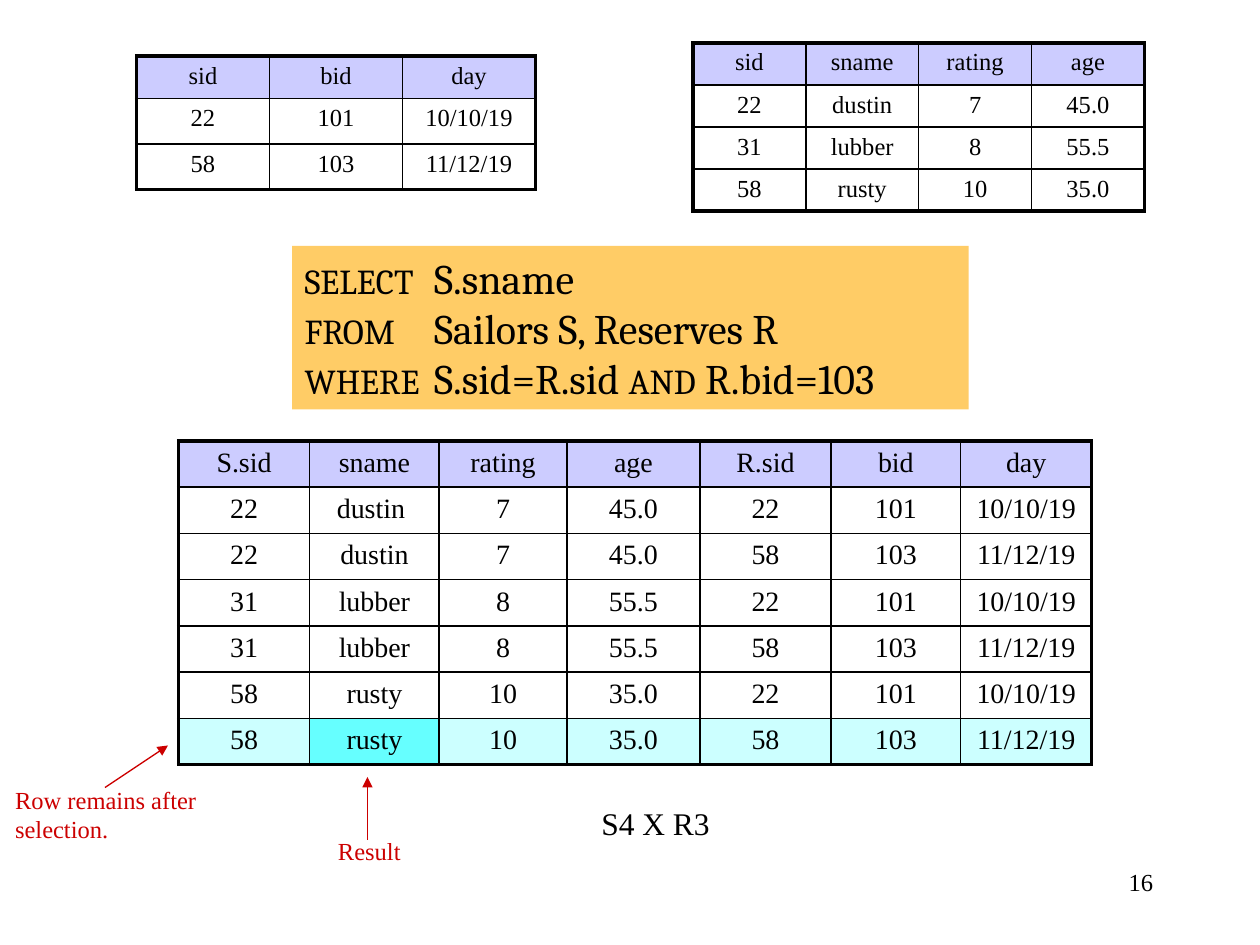
from dataclasses import dataclass

from lxml.etree import SubElement
from pptx import Presentation
from pptx.dml.color import RGBColor
from pptx.enum.shapes import MSO_CONNECTOR, MSO_SHAPE
from pptx.enum.text import MSO_ANCHOR, PP_ALIGN
from pptx.oxml.ns import qn
from pptx.util import Pt


@dataclass(frozen=True)
class Theme:
    black: str = "000000"
    red: str = "CC0000"
    header: str = "CCCCFF"
    query: str = "FFCC66"
    kept_row: str = "CCFFFF"
    result: str = "66FFFF"
    body_font: str = "Times New Roman"
    query_font: str = "Cambria"
    small: float = 14
    medium: float = 16
    caption: float = 18
    keyword: float = 20
    clause: float = 24
    outer_border: float = 2.25
    inner_border: float = 1
    arrow: float = 0.75


THEME = Theme()

RESERVES = [
    ("sid", "bid", "day"),
    ("22", "101", "10/10/19"),
    ("58", "103", "11/12/19"),
]
SAILORS = [
    ("sid", "sname", "rating", "age"),
    ("22", "dustin", "7", "45.0"),
    ("31", "lubber", "8", "55.5"),
    ("58", "rusty", "10", "35.0"),
]
PRODUCT = [
    ("S.sid", "sname", "rating", "age", "R.sid", "bid", "day"),
    ("22", "dustin ", "7", "45.0", "22", "101", "10/10/19"),
    ("22", "dustin", "7", "45.0", "58", "103", "11/12/19"),
    ("31", "lubber", "8", "55.5", "22", "101", "10/10/19"),
    ("31", "lubber", "8", "55.5", "58", "103", "11/12/19"),
    ("58", "rusty", "10", "35.0", "22", "101", "10/10/19"),
    ("58", "rusty", "10", "35.0", "58", "103", "11/12/19"),
]
# Each clause is a list of (text, is_keyword) pieces.
QUERY = [
    [("SELECT", True), ("\tS.sname", False)],
    [("FROM", True), ("\tSailors S, Reserves R", False)],
    [("WHERE", True), ("\tS.sid=R.sid ", False), ("AND", True), (" R.bid=103", False)],
]


def add_run(paragraph, text, size, color=THEME.black, font=THEME.body_font):
    run = paragraph.add_run()
    run.text = text
    run.font.size = Pt(size)
    run.font.name = font
    run.font.color.rgb = RGBColor.from_string(color)


def add_paragraphs(frame, count):
    """Return the frame's first paragraph and as many new ones as needed."""
    return [frame.paragraphs[0]] + [frame.add_paragraph() for _ in range(count - 1)]


def add_label(slide, box, lines, size, color=THEME.black, align=PP_ALIGN.LEFT):
    frame = slide.shapes.add_textbox(*map(Pt, box)).text_frame
    frame.word_wrap = True
    for paragraph, line in zip(add_paragraphs(frame, len(lines)), lines):
        paragraph.alignment = align
        add_run(paragraph, line, size, color)


def add_arrow(slide, start, end):
    arrow = slide.shapes.add_connector(MSO_CONNECTOR.STRAIGHT, *map(Pt, start + end))
    arrow.line.color.rgb = RGBColor.from_string(THEME.red)
    arrow.line.width = Pt(THEME.arrow)
    SubElement(arrow.line._get_or_add_ln(), qn("a:tailEnd"), type="triangle")
    SubElement(arrow._element.spPr, qn("a:effectLst"))


def set_borders(cell, is_outer):
    """Draw the four cell sides, heavier where is_outer marks a table edge."""
    properties = cell._tc.get_or_add_tcPr()
    for side in "LRTB":
        width = THEME.outer_border if is_outer[side] else THEME.inner_border
        line = SubElement(properties, qn(f"a:ln{side}"), w=str(Pt(width)))
        fill = SubElement(line, qn("a:solidFill"))
        SubElement(fill, qn("a:srgbClr"), val=THEME.black)


def add_grid(slide, left, top, column_widths, row_heights, rows, size, highlights=None):
    """Add a table; highlights maps (row, column) to a fill colour."""
    fills = {(0, column): THEME.header for column in range(len(column_widths))}
    fills.update(highlights or {})
    box = (left, top, sum(column_widths), sum(row_heights))
    table = slide.shapes.add_table(
        len(rows), len(column_widths), *map(Pt, box)
    ).table
    table.first_row = table.horz_banding = False
    for column, width in zip(table.columns, column_widths):
        column.width = Pt(width)
    for row, height in zip(table.rows, row_heights):
        row.height = Pt(height)
    for i, values in enumerate(rows):
        for j, value in enumerate(values):
            cell = table.cell(i, j)
            set_borders(cell, {
                "L": j == 0, "R": j == len(values) - 1,
                "T": i == 0, "B": i == len(rows) - 1,
            })
            if (i, j) in fills:
                cell.fill.solid()
                cell.fill.fore_color.rgb = RGBColor.from_string(fills[i, j])
            else:
                cell.fill.background()
            paragraph = cell.text_frame.paragraphs[0]
            paragraph.alignment = PP_ALIGN.CENTER
            add_run(paragraph, value, size)


def add_query(slide, box, clause_indent):
    shape = slide.shapes.add_shape(MSO_SHAPE.RECTANGLE, *map(Pt, box))
    shape.shadow.inherit = False
    shape.fill.solid()
    shape.fill.fore_color.rgb = RGBColor.from_string(THEME.query)
    shape.line.fill.background()
    frame = shape.text_frame
    frame.word_wrap = True
    frame.vertical_anchor = MSO_ANCHOR.TOP
    for paragraph, pieces in zip(add_paragraphs(frame, len(QUERY)), QUERY):
        paragraph.alignment = PP_ALIGN.LEFT
        tabs = SubElement(paragraph._p.get_or_add_pPr(), qn("a:tabLst"))
        SubElement(tabs, qn("a:tab"), pos=str(Pt(clause_indent)), algn="l")
        for text, is_keyword in pieces:
            size = THEME.keyword if is_keyword else THEME.clause
            add_run(paragraph, text, size, font=THEME.query_font)


def add_product(slide, left, top):
    """Add the cross product with its surviving row and result marked."""
    last = len(PRODUCT) - 1
    highlights = {(last, column): THEME.kept_row for column in range(len(PRODUCT[0]))}
    highlights[last, PRODUCT[0].index("sname")] = THEME.result
    add_grid(slide, left, top, [75, 74, 73, 76, 75, 74, 75], [26.4] * len(PRODUCT),
             PRODUCT, THEME.medium, highlights)


def add_notes_below(slide, left, top):
    """Add the captions and arrows under the cross product."""
    add_label(slide, (left + 335, top + 30, 84, 29), ["S4 X R3"], THEME.caption)
    add_arrow(slide, (left + 58.5, top + 24), (left + 94.5, top))
    add_label(slide, (left, top + 19, 126, 41), ["Row remains after", "selection."],
              THEME.small, THEME.red)
    add_arrow(slide, (left + 208.5, top + 54), (left + 208.5, top + 18))
    add_label(slide, (left + 184.5, top + 48, 60, 24), ["Result"], THEME.small, THEME.red)


def main():
    presentation = Presentation()
    presentation.slide_width, presentation.slide_height = Pt(720), Pt(540)
    slide = presentation.slides.add_slide(presentation.slide_layouts[6])
    add_label(slide, (516, 492, 150, 36), ["16"], THEME.small, align=PP_ALIGN.RIGHT)
    add_query(slide, (167, 140.5, 386.5, 93.5), clause_indent=74)
    add_product(slide, 102, 252)
    add_notes_below(slide, 1.5, 426)
    add_grid(slide, 78, 32, [76] * 3, [24.3, 26, 26], RESERVES, THEME.small)
    add_grid(slide, 396, 24.5, [64.5] * 4, [24] * 4, SAILORS, THEME.small)
    presentation.save("out.pptx")


if __name__ == "__main__":
    main()
